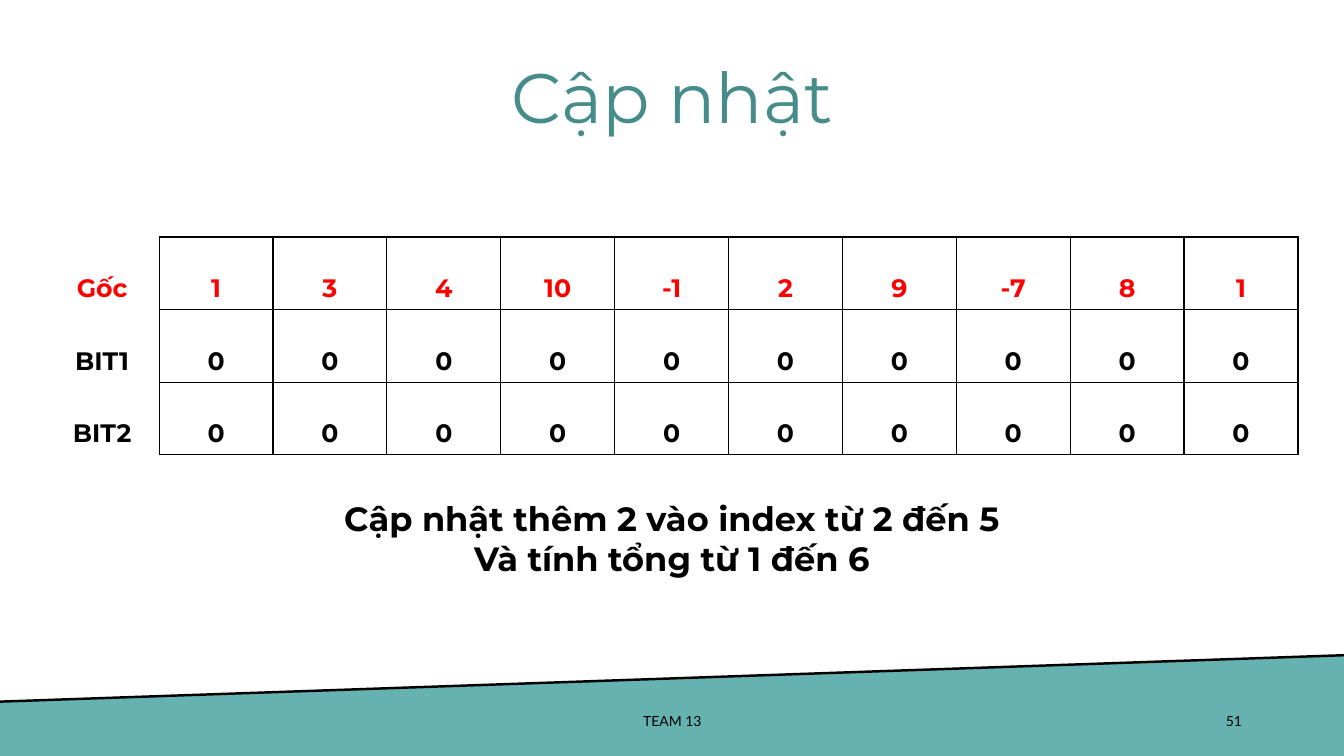
from lxml import etree
from pptx import Presentation
from pptx.dml.color import RGBColor
from pptx.enum.text import MSO_ANCHOR, PP_ALIGN
from pptx.oxml.ns import qn
from pptx.util import Cm, Pt

CENTER, RIGHT = PP_ALIGN.CENTER, PP_ALIGN.RIGHT
MIDDLE = MSO_ANCHOR.MIDDLE
WIDTH, HEIGHT = Cm(33.87), Cm(19.05)
TITLE_ONLY = 5
BLACK, RED, TEAL, DARK_TEAL = "000000", "FF0000", "66B2B0", "468C8A"
HEADING_FONT, FOOTER_FONT = "Montserrat", "Lato"

ARRAYS = [
    ("Gốc", [1, 3, 4, 10, -1, 2, 9, -7, 8, 1], RED),
    ("BIT1", [0] * 10, BLACK),
    ("BIT2", [0] * 10, BLACK),
]


def rgb(hex_color):
    return RGBColor.from_string(hex_color)


def format_text(frame, font, size, color, bold=False, align=CENTER, spacing=None):
    for paragraph in frame.paragraphs:
        paragraph.alignment = align
        if spacing:
            paragraph.line_spacing = spacing
        for run in paragraph.runs:
            run.font.name = font
            run.font.size = Pt(size)
            run.font.bold = bold
            run.font.color.rgb = rgb(color)


def add_text(slide, text, left, top, width, height, font, size, **style):
    frame = slide.shapes.add_textbox(Cm(left), Cm(top), Cm(width), Cm(height)).text_frame
    frame.word_wrap = True
    frame.vertical_anchor = MIDDLE
    frame.text = text
    format_text(frame, font, size, BLACK, **style)


def add_title(slide, text):
    title = slide.shapes.title
    title.left, title.top, title.width, title.height = Cm(4.83), Cm(1.22), Cm(24.23), Cm(2.62)
    title.text_frame.text = text
    title.text_frame.vertical_anchor = MIDDLE
    format_text(title.text_frame, HEADING_FONT, 50, DARK_TEAL, spacing=0.9)


def add_footer_band(slide):
    left_edge, right_edge = Cm(17.68), Cm(16.51)
    outline = slide.shapes.build_freeform(0, left_edge)
    outline.add_line_segments([(WIDTH, right_edge), (WIDTH, HEIGHT), (0, HEIGHT)])
    band = outline.convert_to_shape()
    band.shadow.inherit = False
    band.fill.solid()
    band.fill.fore_color.rgb = rgb(TEAL)
    band.line.fill.background()

    rim = slide.shapes.add_connector(1, WIDTH, right_edge, 0, left_edge)
    rim.line.color.rgb = rgb(BLACK)
    rim.line.width = Pt(1.75)
    etree.SubElement(rim._element.spPr, qn("a:effectLst"))


def set_borders(cell, visible_sides):
    properties = cell._tc.get_or_add_tcPr()
    for position, side in enumerate("LRTB"):
        border = etree.Element(qn(f"a:ln{side}"), w=str(Pt(1)))
        if side in visible_sides:
            fill = etree.SubElement(border, qn("a:solidFill"))
            etree.SubElement(fill, qn("a:srgbClr"), val=BLACK)
        else:
            etree.SubElement(border, qn("a:noFill"))
        properties.insert(position, border)


def add_array_table(slide, arrays):
    columns = 1 + len(arrays[0][1])
    table = slide.shapes.add_table(
        len(arrays), columns, Cm(1.14), Cm(5.97), Cm(2.87) * columns, Cm(1.83) * len(arrays)
    ).table
    table.first_row = table.horz_banding = False
    for column in table.columns:
        column.width = Cm(2.87)
    for row_index, (label, values, color) in enumerate(arrays):
        table.rows[row_index].height = Cm(1.83)
        for column_index, value in enumerate([label, *values]):
            cell = table.cell(row_index, column_index)
            cell.fill.background()
            cell.vertical_anchor = MIDDLE
            cell.text_frame.text = str(value)
            format_text(cell.text_frame, HEADING_FONT, 18, color, bold=True, spacing=2.0)
            if column_index:
                cell.margin_left = cell.margin_right = Cm(0.18)
                cell.margin_top = cell.margin_bottom = 0
            # Row labels stand outside the grid
            set_borders(cell, "LRTB" if column_index else "R")


def main():
    prs = Presentation()
    prs.slide_width, prs.slide_height = WIDTH, HEIGHT
    slide = prs.slides.add_slide(prs.slide_layouts[TITLE_ONLY])

    # Footer
    add_footer_band(slide)
    add_text(slide, "51", 23.93, 17.65, 7.62, 1.02, FOOTER_FONT, 10, align=RIGHT)
    add_text(slide, "TEAM 13", 11.23, 17.65, 11.43, 1.02, FOOTER_FONT, 10)

    # Title, arrays and task
    add_title(slide, "Cập nhật")
    add_array_table(slide, ARRAYS)
    add_text(slide, "Cập nhật thêm 2 vào index từ 2 đến 5\nVà tính tổng từ 1 đến 6",
             5.13, 12.78, 23.6, 1.55, HEADING_FONT, 24, bold=True)

    prs.save("out.pptx")


if __name__ == "__main__":
    main()
